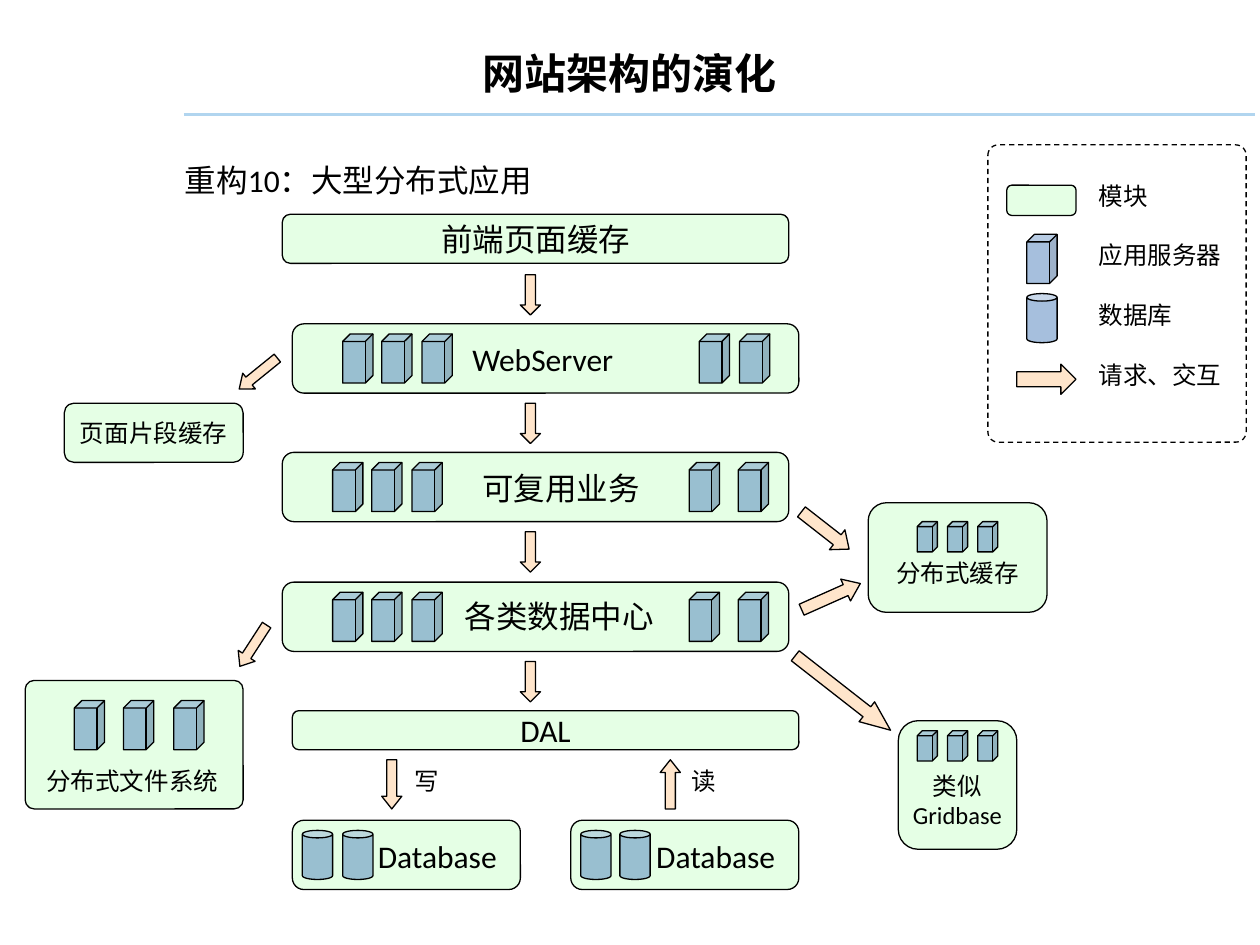
from lxml import etree
from pptx import Presentation
from pptx.dml.color import RGBColor
from pptx.enum.dml import MSO_LINE
from pptx.enum.shapes import MSO_CONNECTOR, MSO_SHAPE
from pptx.enum.text import MSO_ANCHOR, PP_ALIGN
from pptx.oxml.ns import qn
from pptx.util import Inches, Pt

ROUND = MSO_SHAPE.ROUNDED_RECTANGLE
CUBE = MSO_SHAPE.CUBE
CAN = MSO_SHAPE.CAN
DOWN = MSO_SHAPE.DOWN_ARROW
RIGHT = MSO_SHAPE.RIGHT_ARROW
STRAIGHT = MSO_CONNECTOR.STRAIGHT
DASH = MSO_LINE.DASH
MIDDLE = MSO_ANCHOR.MIDDLE
CENTER = PP_ALIGN.CENTER
LEFT = PP_ALIGN.LEFT

COLORS = {"box": "CCFFCC", "node": "4F81BD", "arrow": "FFCC99",
          "ink": "000000", "rule": "B1D5EF"}

prs = Presentation()
prs.slide_width, prs.slide_height = Inches(10), Inches(7.5)
slide = prs.slides.add_slide(prs.slide_layouts[6])
shapes = slide.shapes


def draw(kind, x, y, w, h, color=None, adj=None, turn=0):
    shape = shapes.add_shape(kind, Inches(x), Inches(y), Inches(w), Inches(h))
    shape.shadow.inherit = False
    shape.rotation = turn
    if adj is not None:
        shape.adjustments[len(shape.adjustments) - 1] = adj
    shape.line.color.rgb = RGBColor.from_string(COLORS["ink"])
    shape.line.width = Pt(0.75)
    if color:
        shape.fill.solid()
        shape.fill.fore_color.rgb = RGBColor.from_string(COLORS[color])
        tone = shape._element.spPr.find(qn("a:solidFill"))[0]
        etree.SubElement(tone, qn("a:alpha"), val="50000")
    else:
        shape.fill.background()
    return shape


def write(shape, text, size, align=LEFT, font="Calibri", bold=False):
    frame = shape.text_frame
    frame.word_wrap = False
    frame.text = text
    for para in frame.paragraphs:
        para.alignment = align
        para.font.name = font
        para.font.size = Pt(size)
        para.font.bold = bold
        para.font.color.rgb = RGBColor.from_string(COLORS["ink"])
    return frame


rule = shapes.add_connector(STRAIGHT, Inches(1.46), Inches(0.91),
                            Inches(9.96), Inches(0.91))
rule.line.color.rgb = RGBColor.from_string(COLORS["rule"])
rule.line.width = Pt(2)
etree.SubElement(rule._element.spPr, qn("a:effectLst"))

title = shapes.add_textbox(Inches(0.5), Inches(0.25), Inches(9), Inches(0.66))
write(title, "网站架构的演化", 24, CENTER, bold=True).vertical_anchor = MIDDLE

draw(ROUND, 7.84, 1.15, 2.05, 2.36, adj=0.04).line.dash_style = DASH

boxes = [
    (2.24, 1.7, 4.02, 0.39, "前端页面缓存", 18, 0),
    (2.32, 2.57, 4.02, 0.55, "", 18, 0),
    (2.24, 3.59, 4.02, 0.55, "", 18, 0),
    (2.24, 4.62, 4.02, 0.55, "", 18, 0),
    (2.32, 5.64, 4.02, 0.31, "DAL", 18, 0),
    (2.32, 6.51, 1.81, 0.55, "", 18, 0),
    (4.53, 6.51, 1.81, 0.55, "", 18, 0),
    (0.51, 3.2, 1.42, 0.47, "页面片段缓存", 14, 0),
    (0.2, 5.4, 1.73, 1.02, "", 14, 0),
    (6.89, 3.99, 1.42, 0.87, "分布式缓存", 14, 0.24),
    (7.13, 5.72, 0.94, 1.02, "类似\nGridbase", 14, 0.24),
    (7.99, 1.47, 0.55, 0.24, "", 14, 0),
]
for x, y, w, h, text, size, drop in boxes:
    box = draw(ROUND, x, y, w, h, "box", 0.07 if w == 1.73 else 0.167)
    if text:
        frame = write(box, text, size, CENTER)
        frame.vertical_anchor = MIDDLE
        frame.margin_top = Inches(0.05 + drop)

nodes = [
    (CUBE, 2.65, 0.24, 0.39, (2.72, 3.03, 3.35, 5.55, 5.87)),
    (CUBE, 3.67, 0.24, 0.39, (2.64, 2.95, 3.27, 5.47, 5.86)),
    (CUBE, 4.7, 0.24, 0.39, (2.64, 2.95, 3.27, 5.47, 5.86)),
    (CUBE, 5.56, 0.24, 0.39, (0.59, 0.98, 1.38)),
    (CUBE, 4.14, 0.16, 0.24, (7.28, 7.52, 7.76)),
    (CUBE, 5.8, 0.16, 0.24, (7.28, 7.52, 7.76)),
    (CUBE, 1.86, 0.24, 0.39, (8.15,)),
    (CAN, 2.33, 0.24, 0.39, (8.15,)),
    (CAN, 6.59, 0.24, 0.39, (2.4, 2.72, 4.61, 4.92)),
]
for kind, y, w, h, lefts in nodes:
    for x in lefts:
        draw(kind, x, y, w, h, "node", 0.25)

arrows = [
    (4.13, 2.18, 0.16, 0.32, 0, 0.5),
    (4.13, 3.2, 0.16, 0.32, 0, 0.5),
    (4.13, 4.22, 0.16, 0.32, 0, 0.5),
    (4.13, 5.25, 0.16, 0.32, 0, 0.5),
    (3.03, 6.03, 0.16, 0.39, 0, 0.63),
    (5.24, 6.03, 0.16, 0.39, 180, 0.63),
    (1.97, 2.77, 0.16, 0.39, 51, 0.63),
    (1.93, 4.93, 0.16, 0.39, 33, 0.62),
    (6.45, 3.97, 0.2, 0.48, 308, 0.6),
    (6.5, 4.48, 0.19, 0.51, 246, 0.67),
    (6.59, 5.02, 0.2, 0.96, 308, 1.19),
]
for x, y, w, h, turn, head in arrows:
    draw(DOWN, x, y, w, h, "arrow", head, turn)
draw(RIGHT, 8.07, 2.89, 0.47, 0.24, "arrow", 0.5)

labels = [
    (1.37, 1.23, 3.2, "重构10：大型分布式应用", 18, "Calibri"),
    (3.65, 2.65, 1.5, "WebServer", 18, "Calibri"),
    (3.73, 3.67, 1.6, "可复用业务", 18, "Calibri"),
    (3.59, 4.69, 1.8, "各类数据中心", 18, "Calibri"),
    (2.9, 6.59, 1.3, "Database", 18, "Calibri"),
    (5.11, 6.59, 1.3, "Database", 18, "Calibri"),
    (0.27, 6.03, 1.63, "分布式文件系统", 14, "Calibri"),
    (3.19, 6.03, 0.5, "写", 14, "Calibri"),
    (5.39, 6.03, 0.5, "读", 14, "Calibri"),
    (8.62, 1.39, 1.25, "模块", 14, "Calibri"),
    (8.62, 1.86, 1.25, "应用服务器", 14, "Calibri"),
    (8.62, 2.33, 1.25, "数据库", 14, "Calibri"),
    (8.62, 2.81, 1.25, "请求、交互", 14, "Arial"),
]
for x, y, w, text, size, font in labels:
    high = 0.4 if size == 18 else 0.34
    label = shapes.add_textbox(Inches(x), Inches(y), Inches(w), Inches(high))
    write(label, text, size, font=font)

prs.save("out.pptx")
